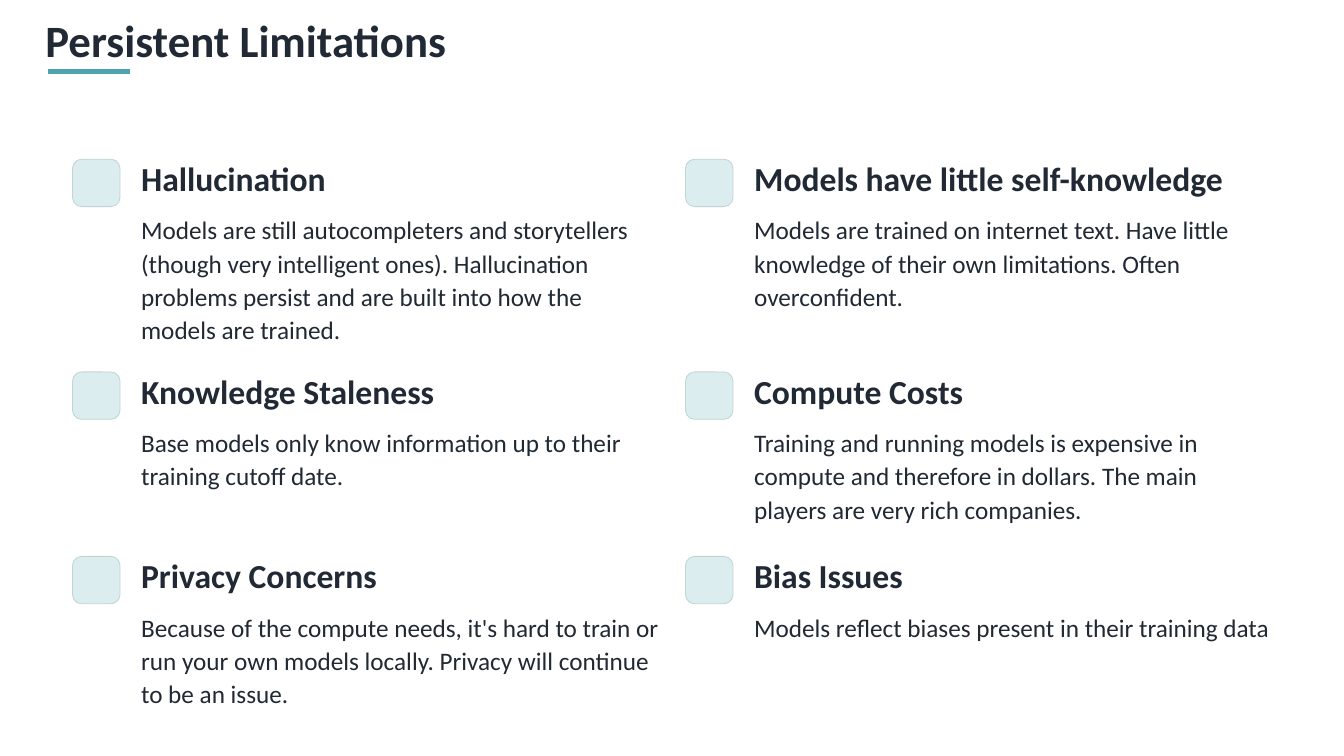
"""Build the "Persistent Limitations" slide with six titled points in two columns."""
import pptx
import pptx.dml.color
import pptx.enum.shapes
import pptx.enum.text
import pptx.oxml
import pptx.util
from pptx.util import Inches, Pt

TITLE = "Persistent Limitations"
LIMITATIONS = [
    [
        ("Hallucination",
         "Models are still autocompleters and storytellers (though very intelligent ones). "
         "Hallucination problems persist and are built into how the models are trained."),
        ("Models have little self-knowledge",
         "Models are trained on internet text. Have little knowledge of their own "
         "limitations. Often overconfident."),
    ],
    [
        ("Knowledge Staleness",
         "Base models only know information up to their training cutoff date."),
        ("Compute Costs",
         "Training and running models is expensive in compute and therefore in dollars. "
         "The main players are very rich companies."),
    ],
    [
        ("Privacy Concerns",
         "Because of the compute needs, it's hard to train or run your own models locally. "
         "Privacy will continue to be an issue."),
        ("Bias Issues", "Models reflect biases present in their training data"),
    ],
]

FONT = "Calibri"
INK = pptx.dml.color.RGBColor(0x20, 0x29, 0x34)
TEAL = pptx.dml.color.RGBColor(0x4E, 0xA4, 0xAD)
MARKER_FILL = pptx.dml.color.RGBColor(0xDC, 0xED, 0xEF)
MARKER_LINE = pptx.dml.color.RGBColor(0xC2, 0xD3, 0xD5)
WHITE = pptx.dml.color.RGBColor(0xFF, 0xFF, 0xFF)

COLUMN_LEFTS = [0.72, 6.8]
ROW_TOPS = [1.58, 3.69, 5.52]
MARKER_SIZE = 0.47
TEXT_OFFSET = 0.68
HEADING_OFFSET = 0.07
DETAIL_OFFSET = 0.52
TEXT_WIDTH = 5.14
HEADING_HEIGHT = 0.32
DETAIL_HEIGHT = 1.32


def write_text(shape, text, *, size, spacing, bold=False, inset=None, wrap=True,
               anchor=pptx.enum.text.MSO_ANCHOR.TOP):
    """Fill a shape with one formatted paragraph."""
    frame = shape.text_frame
    frame.word_wrap = wrap
    frame.auto_size = pptx.enum.text.MSO_AUTO_SIZE.NONE
    frame.vertical_anchor = anchor
    if inset is not None:
        frame.margin_left = frame.margin_right = inset
        frame.margin_top = frame.margin_bottom = inset
    frame.text = text
    paragraph = frame.paragraphs[0]
    paragraph.alignment = pptx.enum.text.PP_ALIGN.LEFT
    paragraph.line_spacing = spacing
    font = paragraph.runs[0].font
    font.name, font.size, font.bold = FONT, Pt(size), bold
    font.color.rgb = INK


def add_title(slide):
    """Place the title and its underline."""
    title = slide.shapes.title
    title.left, title.top = Inches(0.35), Inches(0.13)
    title.width, title.height = Inches(6.32), Inches(0.59)
    write_text(title, TITLE, size=32, spacing=0.9, bold=True,
               anchor=pptx.enum.text.MSO_ANCHOR.MIDDLE)
    underline = slide.shapes.add_connector(
        pptx.enum.shapes.MSO_CONNECTOR.STRAIGHT,
        Inches(0.48), Inches(0.71), Inches(1.29), Inches(0.71))
    underline.line.color.rgb = TEAL
    underline.line.width = Pt(3)
    properties = underline.element.spPr
    properties.append(pptx.oxml.parse_xml(
        '<a:effectLst xmlns:a="http://schemas.openxmlformats.org/drawingml/2006/main"/>'))


def add_limitation(slide, left, top, heading, detail):
    """Place one marker with its heading and detail."""
    marker = slide.shapes.add_shape(
        pptx.enum.shapes.MSO_SHAPE.ROUNDED_RECTANGLE,
        Inches(left), Inches(top), Inches(MARKER_SIZE), Inches(MARKER_SIZE))
    marker.adjustments[0] = 0.19
    marker.shadow.inherit = False
    marker.fill.solid()
    marker.fill.fore_color.rgb = MARKER_FILL
    marker.line.color.rgb = MARKER_LINE
    marker.line.width = Pt(0.6)

    text_left = Inches(left + TEXT_OFFSET)
    heading_box = slide.shapes.add_textbox(
        text_left, Inches(top + HEADING_OFFSET), Inches(TEXT_WIDTH), Inches(HEADING_HEIGHT))
    write_text(heading_box, heading, size=24, spacing=Pt(22.9), bold=True, inset=0, wrap=False)
    detail_box = slide.shapes.add_textbox(
        text_left, Inches(top + DETAIL_OFFSET), Inches(TEXT_WIDTH), Inches(DETAIL_HEIGHT))
    write_text(detail_box, detail, size=18, spacing=Pt(23.8), inset=0)


def main():
    """Build and save the presentation."""
    presentation = pptx.Presentation()
    presentation.slide_width, presentation.slide_height = Inches(13.33), Inches(7.5)
    slide = presentation.slides.add_slide(presentation.slide_layouts.get_by_name("Title Only"))
    slide.background.fill.solid()
    slide.background.fill.fore_color.rgb = WHITE
    add_title(slide)
    for top, row in zip(ROW_TOPS, LIMITATIONS):
        for left, (heading, detail) in zip(COLUMN_LEFTS, row):
            add_limitation(slide, left, top, heading, detail)
    presentation.save("out.pptx")


if __name__ == "__main__":
    main()
